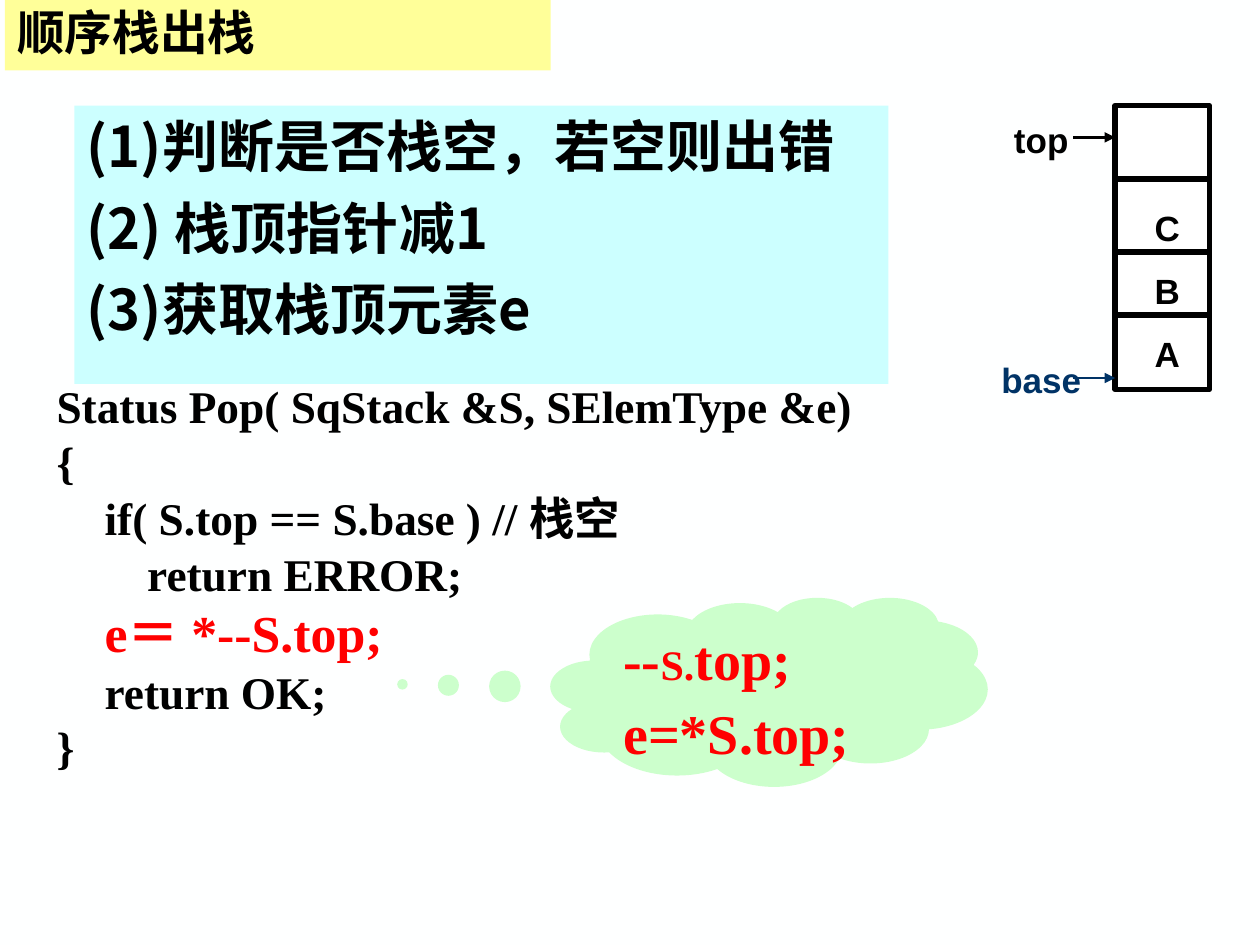
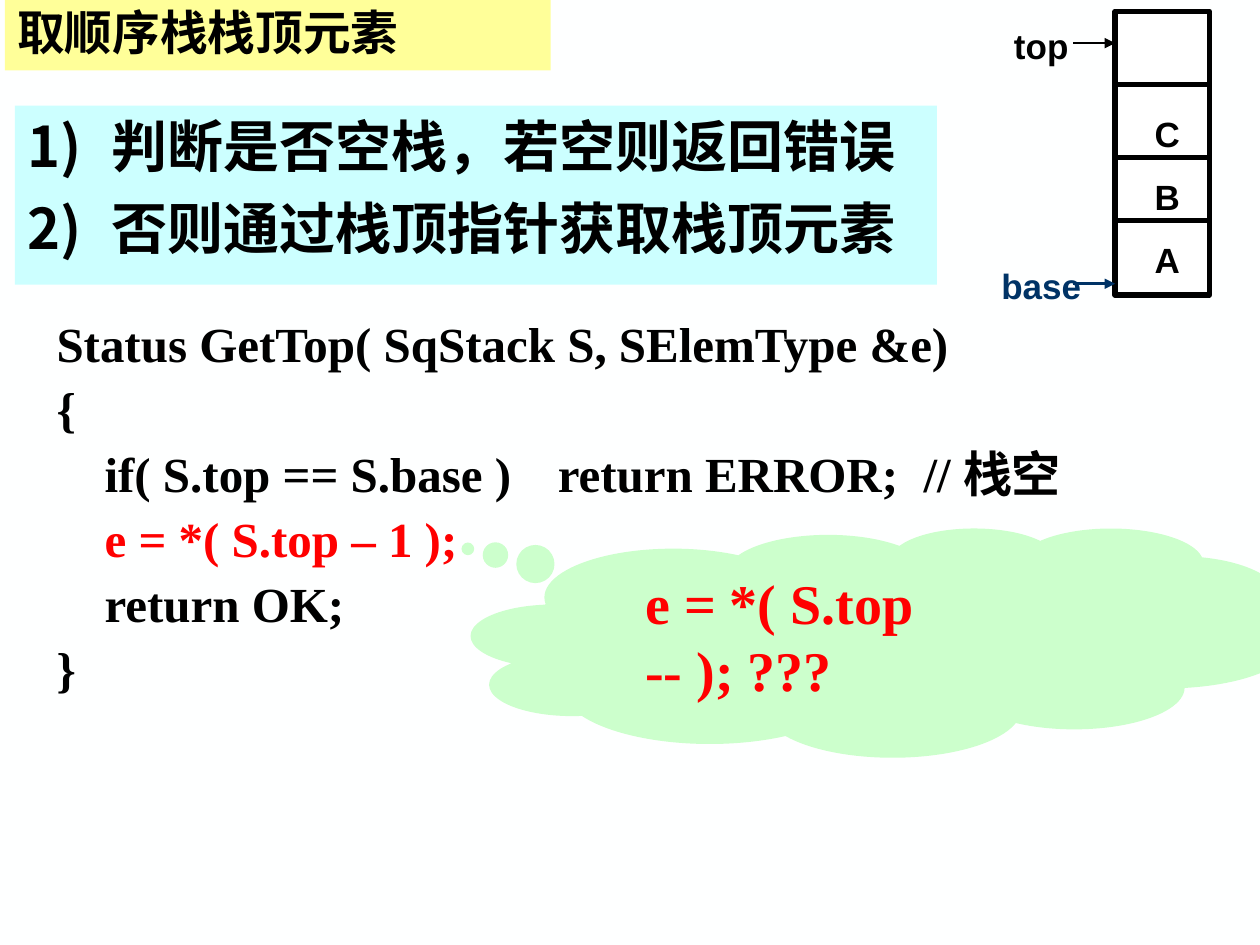
from dataclasses import dataclass

from lxml.etree import SubElement
from pptx import Presentation
from pptx.dml.color import RGBColor
from pptx.enum.shapes import MSO_CONNECTOR, MSO_SHAPE
from pptx.enum.text import MSO_ANCHOR, PP_ALIGN
from pptx.oxml.ns import qn
from pptx.util import Cm, Pt

BLACK, RED, NAVY, WHITE = "000000", "FF0000", "003366", "FFFFFF"
PAPER, YELLOW, CYAN, GREEN = "FEFFFF", "FFFF99", "CCFFFF", "CCFFCC"
CJK, SERIF, SANS = "Noto Sans CJK SC", "Times New Roman", "Arial"
CODE_INDENT, LIST_INDENT = 0.97, 1.7
TAB_STEP, TAB_COUNT = 2.54, 8


@dataclass
class Box:
    """Left, top, width and height in centimetres."""
    x: float
    y: float
    w: float
    h: float

    def lengths(self):
        return Cm(self.x), Cm(self.y), Cm(self.w), Cm(self.h)


@dataclass
class Run:
    text: str
    size: float
    color: str = BLACK
    font: str = SERIF


@dataclass
class Pointer:
    """A label with an arrow to the stack, placed below the stack's top."""
    text: str
    label_dy: float
    arrow_dy: float
    color: str


POINTERS = [Pointer("top", 0.13, 0.64, BLACK), Pointer("base", 4.98, 5.49, NAVY)]


def rgb(color: str) -> RGBColor:
    return RGBColor.from_string(color)


# Text
def add_paragraph(tf, runs: list[Run], *, first=False, indent=0.0, spacing=None,
                  before=0.0, align=None, numbered=False, tabs=False):
    p = tf.paragraphs[0] if first else tf.add_paragraph()
    p.alignment = align or PP_ALIGN.LEFT
    if spacing:
        p.line_spacing = spacing
    p.space_before = Pt(0 if first else before)
    pPr = p._p.get_or_add_pPr()
    if indent:
        pPr.set("marL", str(Cm(indent)))
        pPr.set("indent", str(-Cm(indent)))
    if numbered:
        SubElement(pPr, qn("a:buFont"), typeface="+mj-lt")
        SubElement(pPr, qn("a:buAutoNum"), type="arabicParenR")
    if tabs:
        tab_list = SubElement(pPr, qn("a:tabLst"))
        for i in range(TAB_COUNT):
            SubElement(tab_list, qn("a:tab"), pos=str(Cm(TAB_STEP * i)), algn="l")
    for run in runs:
        r = p.add_run()
        r.text = run.text
        r.font.size = Pt(run.size)
        r.font.bold = True
        r.font.name = run.font
        r.font.color.rgb = rgb(run.color)
        SubElement(r._r.get_or_add_rPr(), qn("a:ea"), typeface=CJK)


def fill_text(sp, lines: list[list[Run]], *, anchor=MSO_ANCHOR.TOP, **style):
    tf = sp.text_frame
    tf.word_wrap = True
    tf.vertical_anchor = anchor
    for i, runs in enumerate(lines):
        add_paragraph(tf, runs, first=i == 0, **style)


# Shapes
def add_block(shapes, kind, box: Box, fill: str, line_width=0.0):
    sp = shapes.add_shape(kind, *box.lengths())
    sp.shadow.inherit = False
    sp.fill.solid()
    sp.fill.fore_color.rgb = rgb(fill)
    if line_width:
        sp.line.color.rgb = rgb(BLACK)
        sp.line.width = Pt(line_width)
    else:
        sp.line.fill.background()
    return sp


def add_line(shapes, x1: float, x2: float, y: float, color: str, width: float,
             arrow=False):
    line = shapes.add_connector(MSO_CONNECTOR.STRAIGHT, Cm(x1), Cm(y), Cm(x2), Cm(y))
    line.line.color.rgb = rgb(color)
    line.line.width = Pt(width)
    if arrow:
        SubElement(line.line._get_or_add_ln(), qn("a:tailEnd"), type="triangle")
    SubElement(line._element.spPr, qn("a:effectLst"))


def add_label(shapes, text: str, box: Box, color=BLACK):
    sp = shapes.add_textbox(*box.lengths())
    fill_text(sp, [[Run(text, 20, color, SANS)]], align=PP_ALIGN.CENTER)


# Slide parts
def add_base_slide(prs, title: str):
    s = prs.slides.add_slide(prs.slide_layouts[6])
    s.background.fill.solid()
    s.background.fill.fore_color.rgb = rgb(PAPER)
    sp = add_block(s.shapes, MSO_SHAPE.RECTANGLE, Box(0.1, 0, 11, 1.42), YELLOW)
    fill_text(sp, [[Run(title, 27.2, font=CJK)]], anchor=MSO_ANCHOR.MIDDLE, spacing=0.9)
    return s


def add_steps(s, box: Box, steps: list[str], numbered=False):
    sp = add_block(s.shapes, MSO_SHAPE.RECTANGLE, box, CYAN)
    fill_text(sp, [[Run(step, 32, font=CJK)] for step in steps],
              indent=LIST_INDENT, before=8, numbered=numbered)


def add_code(s, box: Box, lines: list[list[Run]], spacing: float):
    sp = s.shapes.add_textbox(*box.lengths())
    fill_text(sp, lines, indent=CODE_INDENT, spacing=spacing, before=7, tabs=True)


def add_cloud(s, box: Box, tip: tuple[float, float], lines: list[list[Run]],
              spacing=None):
    sp = add_block(s.shapes, MSO_SHAPE.CLOUD_CALLOUT, box, GREEN)
    sp.adjustments[0], sp.adjustments[1] = tip
    fill_text(sp, lines, indent=CODE_INDENT, spacing=spacing, before=8, tabs=True)


def add_stack(s, top: float):
    left, width = 22.48, 1.9
    shapes = s.shapes.add_group_shape().shapes
    add_block(shapes, MSO_SHAPE.RECTANGLE, Box(left, top, width, 5.72), WHITE, 3)
    for dy in (1.48, 2.95, 4.22):
        add_line(shapes, left, left + width, top + dy, BLACK, 3)
    for i, name in enumerate("CBA"):
        add_label(shapes, name, Box(22.68, top + 1.91 + 1.27 * i, 1.7, 1.12))
    for pt in POINTERS:
        add_line(shapes, 21.64, left, top + pt.arrow_dy, pt.color, 1.5, arrow=True)
        add_label(shapes, pt.text, Box(19.3, top + pt.label_dy, 3.38, 1.12), pt.color)


def pop_slide(prs):
    s = add_base_slide(prs, "顺序栈出栈")
    add_steps(s, Box(1.5, 2.13, 16.41, 5.61),
              ["(1)判断是否栈空，若空则出错", "(2) 栈顶指针减1", "(3)获取栈顶元素e"])
    size = 25.9
    add_code(s, Box(0.89, 7.72, 24, 8.13), [
        [Run("Status Pop( SqStack &S, SElemType &e)", size)],
        [Run("{", size)],
        [Run("\tif( S.top == S.base ) // 栈空", size)],
        [Run("        return ERROR;", size)],
        [Run("\t", size), Run("e＝ *--S.top;", 29.6, RED)],
        [Run("\treturn OK;", size)],
        [Run("}", size)],
    ], 0.8)
    add_cloud(s, Box(11.1, 12.04, 8.81, 3.81), (-0.839, -0.039), [
        [Run("--", 32, RED), Run("S.", 24, RED), Run("top;", 32, RED)],
        [Run("e=*S.top;", 32, RED)],
    ], 0.9)
    add_stack(s, 2.13)


def get_top_slide(prs):
    s = add_base_slide(prs, "取顺序栈栈顶元素")
    add_steps(s, Box(0.3, 2.13, 18.59, 3.61),
              ["判断是否空栈，若空则返回错误", "否则通过栈顶指针获取栈顶元素"], numbered=True)
    size = 28
    add_code(s, Box(0.89, 6.32, 23.39, 8.13), [
        [Run("Status GetTop( SqStack S, SElemType &e)", size)],
        [Run("{", size)],
        [Run("\tif( S.top == S.base )\t return ERROR; \t// 栈空", size)],
        [Run("\te = *( S.top – 1 );", size, RED)],
        [Run("\treturn OK;", size)],
        [Run("}", size)],
    ], 0.9)
    add_cloud(s, Box(9.5, 10.64, 16.61, 4.62), (-0.504, -0.408),
              [[Run("\te = *( S.top -- ); ???", 32, RED)]])
    add_stack(s, 0.23)


def main():
    prs = Presentation()
    prs.slide_width, prs.slide_height = Cm(25.4), Cm(19.05)
    pop_slide(prs)
    get_top_slide(prs)
    prs.save("out.pptx")


if __name__ == "__main__":
    main()
